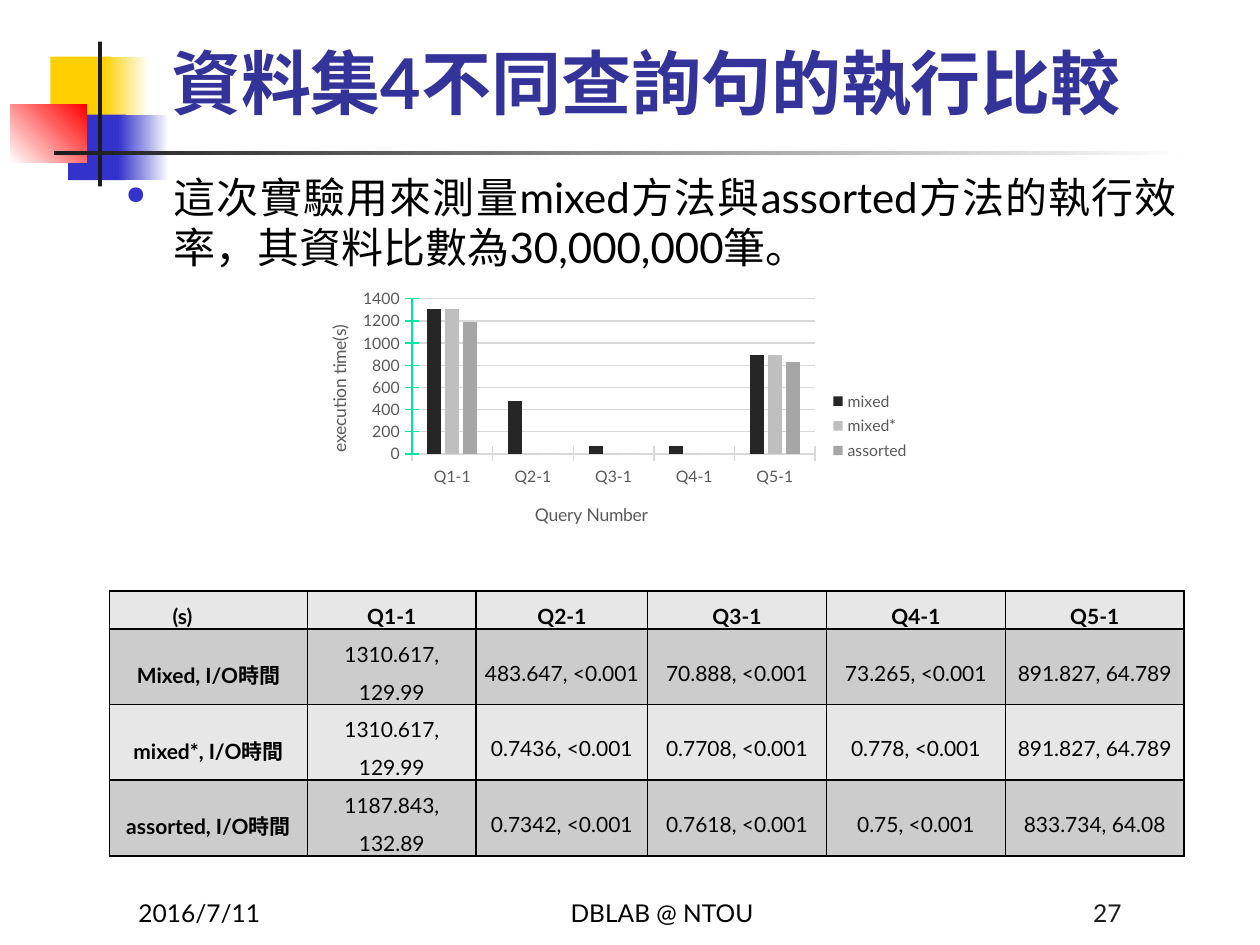
"""Builds the slide that compares query times on data set 4."""
from lxml.etree import SubElement as Sub
from pptx import Presentation
from pptx.chart.data import CategoryChartData as Data
from pptx.dml.color import RGBColor
from pptx.enum.chart import XL_CHART_TYPE as Kind, XL_LEGEND_POSITION as Side, XL_TICK_MARK as Tick
from pptx.enum.shapes import MSO_SHAPE as Shape
from pptx.enum.text import MSO_ANCHOR as Anchor, PP_ALIGN as Align
from pptx.oxml import parse_xml
from pptx.oxml.ns import nsdecls, qn
from pptx.util import Inches, Pt

BLACK = RGBColor(0x00, 0x00, 0x00)
WHITE = RGBColor(0xFF, 0xFF, 0xFF)
INK = RGBColor(0x1C, 0x1C, 0x1C)
GOLD = RGBColor(0xFF, 0xCF, 0x01)
BLUE = RGBColor(0x33, 0x33, 0xCC)
NAVY = RGBColor(0x33, 0x33, 0x99)
RED = RGBColor(0xFF, 0x00, 0x00)
MINT = RGBColor(0x00, 0xE4, 0xA8)
GRAY = RGBColor(0x59, 0x59, 0x59)
RULE = RGBColor(0xD9, 0xD9, 0xD9)
LIGHT = RGBColor(0xE7, 0xE7, 0xE7)
DARK = RGBColor(0xCC, 0xCC, 0xCC)
BARS = (RGBColor(0x26, 0x26, 0x26), RGBColor(0xBF, 0xBF, 0xBF), RGBColor(0xA6, 0xA6, 0xA6))

QUERIES = ["Q1-1", "Q2-1", "Q3-1", "Q4-1", "Q5-1"]
TIMES = {
    "mixed": (1310, 480, 70, 70, 890),
    "mixed*": (1310, 0, 0, 0, 890),
    "assorted": (1190, 0, 0, 0, 830),
}
ROWS = [
    ["(s)", *QUERIES],
    ["Mixed, I/O時間", "1310.617, 129.99", "483.647, <0.001", "70.888, <0.001",
     "73.265, <0.001", "891.827, 64.789"],
    ["mixed*, I/O時間", "1310.617, 129.99", "0.7436, <0.001", "0.7708, <0.001",
     "0.778, <0.001", "891.827, 64.789"],
    ["assorted, I/O時間", "1187.843, 132.89", "0.7342, <0.001", "0.7618, <0.001",
     "0.75, <0.001", "833.734, 64.08"],
]


class Deck:
    """Holds the style and the current slide."""

    def __init__(self, font):
        self.font = font
        self.prs = Presentation()
        self.prs.slide_width, self.prs.slide_height = Inches(10), Inches(7.5)
        self.slide = self.prs.slides.add_slide(self.prs.slide_layouts[6])
        self.shapes = self.slide.shapes

    def style(self, font, size, color, bold=False):
        font.name, font.size, font.bold = self.font, Pt(size), bold
        font.color.rgb = color

    def run(self, para, text, size, color=BLACK, bold=False, align=Align.LEFT):
        para.alignment = align
        run = para.add_run()
        run.text = text
        self.style(run.font, size, color, bold)

    def block(self, box, *colors, angle=0):
        shape = self.shapes.add_shape(Shape.RECTANGLE, *map(Inches, box))
        shape.shadow.inherit = False
        shape.line.fill.background()
        if len(colors) == 1:
            shape.fill.solid()
            shape.fill.fore_color.rgb = colors[0]
            return
        shape.fill.gradient()
        shape.fill.gradient_angle = angle
        for stop, color in zip(shape.fill.gradient_stops, colors):
            stop.color.rgb = color

    def text(self, box, words, size, anchor=Anchor.BOTTOM, **look):
        frame = self.shapes.add_textbox(*map(Inches, box)).text_frame
        frame.word_wrap = True
        frame.vertical_anchor = anchor
        para = frame.paragraphs[0]
        self.run(para, words, size, **look)
        return para

    def bullet(self, para, color, scale):
        para.space_before = Pt(5)
        props = para._p.get_or_add_pPr()
        props.set("marL", str(Inches(0.38)))
        props.set("indent", str(-Inches(0.38)))
        tint = Sub(props, qn("a:buClr"))
        Sub(tint, qn("a:srgbClr"), val=str(color))
        Sub(props, qn("a:buSzPct"), val=str(scale * 1000))
        Sub(props, qn("a:buChar"), char="●")

    def place(self, node, index, **spots):
        old = node.find(qn("c:layout"))
        if old is not None:
            node.remove(old)
        layout = parse_xml(f"<c:layout {nsdecls('c')}><c:manualLayout/></c:layout>")
        if "w" in spots:
            Sub(layout[0], qn("c:layoutTarget"), val="inner")
        for name in "xy":
            Sub(layout[0], qn(f"c:{name}Mode"), val="edge")
        for name, value in spots.items():
            Sub(layout[0], qn(f"c:{name}"), val=str(value))
        node.insert(index, layout)

    def axis(self, axis, title, color, x, y):
        axis.major_tick_mark, axis.minor_tick_mark = Tick.CROSS, Tick.NONE
        self.style(axis.tick_labels.font, 9, GRAY)
        axis.format.line.color.rgb = color
        axis.format.line.width = Pt(0.75)
        head = axis.axis_title
        self.run(head.text_frame.paragraphs[0], title, 10, GRAY, align=Align.CENTER)
        self.place(head._element, 1, x=x, y=y)

    def chart(self, box, cats, series):
        data = Data()
        data.categories = cats
        for name, values in series.items():
            data.add_series(name, values)
        chart = self.shapes.add_chart(Kind.COLUMN_CLUSTERED, *map(Inches, box), data).chart
        self.style(chart.font, 10, BLACK)
        chart.has_title = False
        chart.has_legend = True
        chart.legend.position = Side.RIGHT
        chart.legend.include_in_layout = False
        self.style(chart.legend.font, 9, GRAY)
        plot = chart.plots[0]
        plot.gap_width, plot.overlap, plot.vary_by_categories = 219, -27, False
        for bar, color in zip(plot.series, BARS):
            bar.format.fill.solid()
            bar.format.fill.fore_color.rgb = color
        self.axis(chart.category_axis, "Query Number", RULE, 0.38, 0.76)
        self.axis(chart.value_axis, "execution time(s)", MINT, 0.05, 0.13)
        scale = chart.value_axis
        scale.minimum_scale, scale.maximum_scale, scale.major_unit = 0, 1400, 200
        scale.major_gridlines.format.line.color.rgb = RULE
        scale.major_gridlines.format.line.width = Pt(0.75)
        area = chart._chartSpace.find(f".//{qn('c:plotArea')}")
        self.place(area, 0, x=0.19, y=0.05, w=0.64, h=0.55)

    def cell(self, cell, words, fill, bold):
        cell.fill.solid()
        cell.fill.fore_color.rgb = fill
        cell.vertical_anchor = Anchor.MIDDLE
        cell.margin_left = cell.margin_right = Inches(0.02)
        cell.margin_top = cell.margin_bottom = 0
        para = cell.text_frame.paragraphs[0]
        para.line_spacing = 1.5
        self.run(para, words, 12, bold=bold, align=Align.CENTER)
        props = cell._tc.get_or_add_tcPr()
        for spot, side in enumerate("LRTB"):
            props.insert(spot, parse_xml(
                f"<a:ln{side} {nsdecls('a')} w='{Pt(1)}'><a:solidFill>"
                f"<a:srgbClr val='{BLACK}'/></a:solidFill></a:ln{side}>"))

    def table(self, box, widths, rows):
        table = self.shapes.add_table(len(rows), len(widths), *map(Inches, box)).table
        for col, width in zip(table.columns, widths):
            col.width = Inches(width)
        for r, row in enumerate(rows):
            for c, words in enumerate(row):
                self.cell(table.cell(r, c), words, DARK if r % 2 else LIGHT, r == 0 or c == 0)
        para = table.cell(0, 0).text_frame.paragraphs[0]
        para.alignment = Align.JUSTIFY
        para.space_before = para.space_after = Pt(6)
        para._p.get_or_add_pPr().set("indent", str(Inches(0.48)))


def main():
    deck = Deck("Lato")
    deck.block((0.4, 0.45, 0.48, 0.52), GOLD)
    deck.block((0.82, 0.45, 0.36, 0.52), GOLD, WHITE)
    deck.block((0.54, 0.91, 0.46, 0.52), BLUE)
    deck.block((0.94, 0.91, 0.4, 0.52), BLUE, WHITE)
    deck.block((0.08, 0.83, 0.61, 0.46), WHITE, RED, angle=45)
    deck.block((0.78, 0.33, 0.03, 1.15), INK)
    deck.block((0.43, 1.2, 9, 0.03), INK, WHITE)
    deck.text((1.26, 0.17, 8.52, 0.86), "資料集4不同查詢句的執行比較", 40, color=NAVY, bold=True)
    body = deck.text((0.9, 1.31, 8.54, 5.42),
                     "這次實驗用來測量mixed方法與assorted方法的執行效率，其資料比數為30,000,000筆。",
                     24, Anchor.TOP, align=Align.JUSTIFY)
    deck.bullet(body, BLUE, 60)
    deck.text((1, 6.91, 2.08, 0.5), "2016/7/11", 14)
    deck.text((3.67, 6.91, 3.17, 0.5), "DBLAB @ NTOU", 14, align=Align.CENTER)
    deck.text((6.92, 6.91, 2.08, 0.5), "27", 14, color=INK, align=Align.RIGHT)
    deck.chart((2.32, 2.26, 5, 2.24), QUERIES, TIMES)
    deck.table((0.87, 4.69, 8.54, 1.2), (1.57, 1.34, 1.36, 1.42, 1.42, 1.42), ROWS)
    deck.prs.save("out.pptx")


if __name__ == "__main__":
    main()
